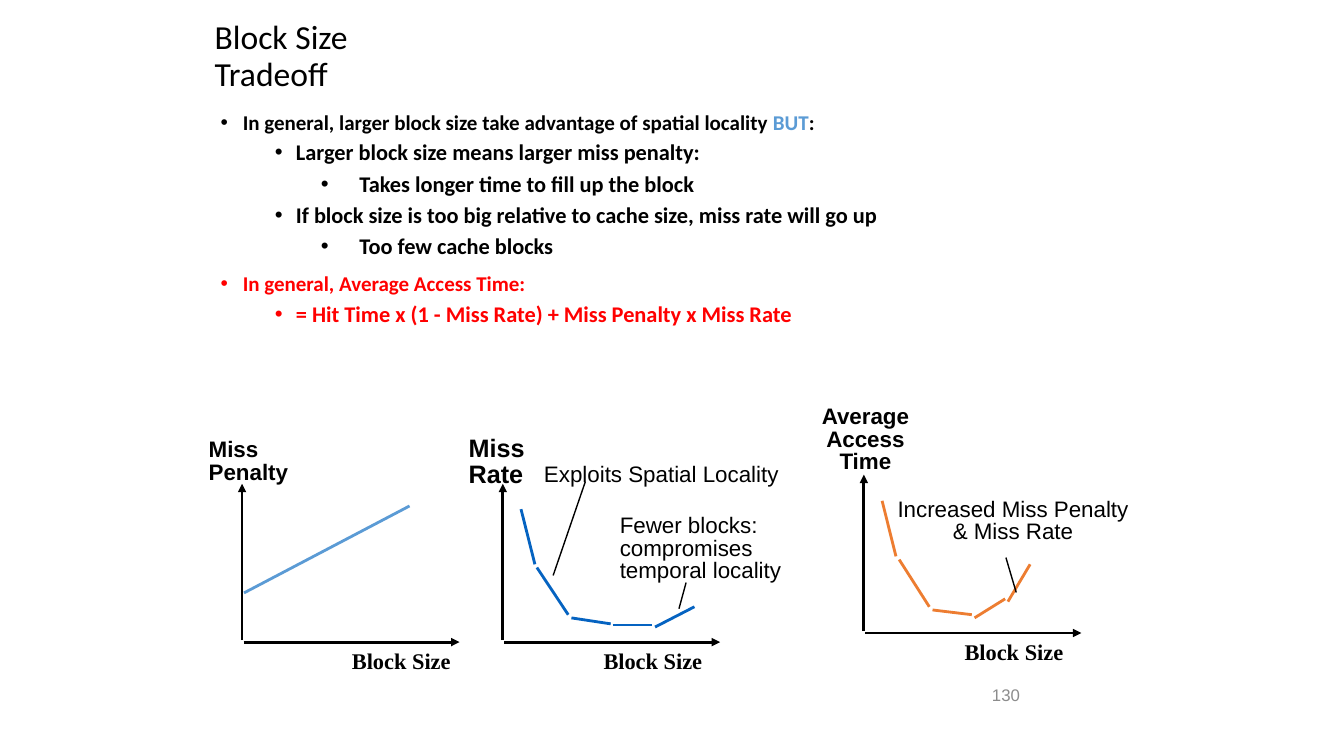
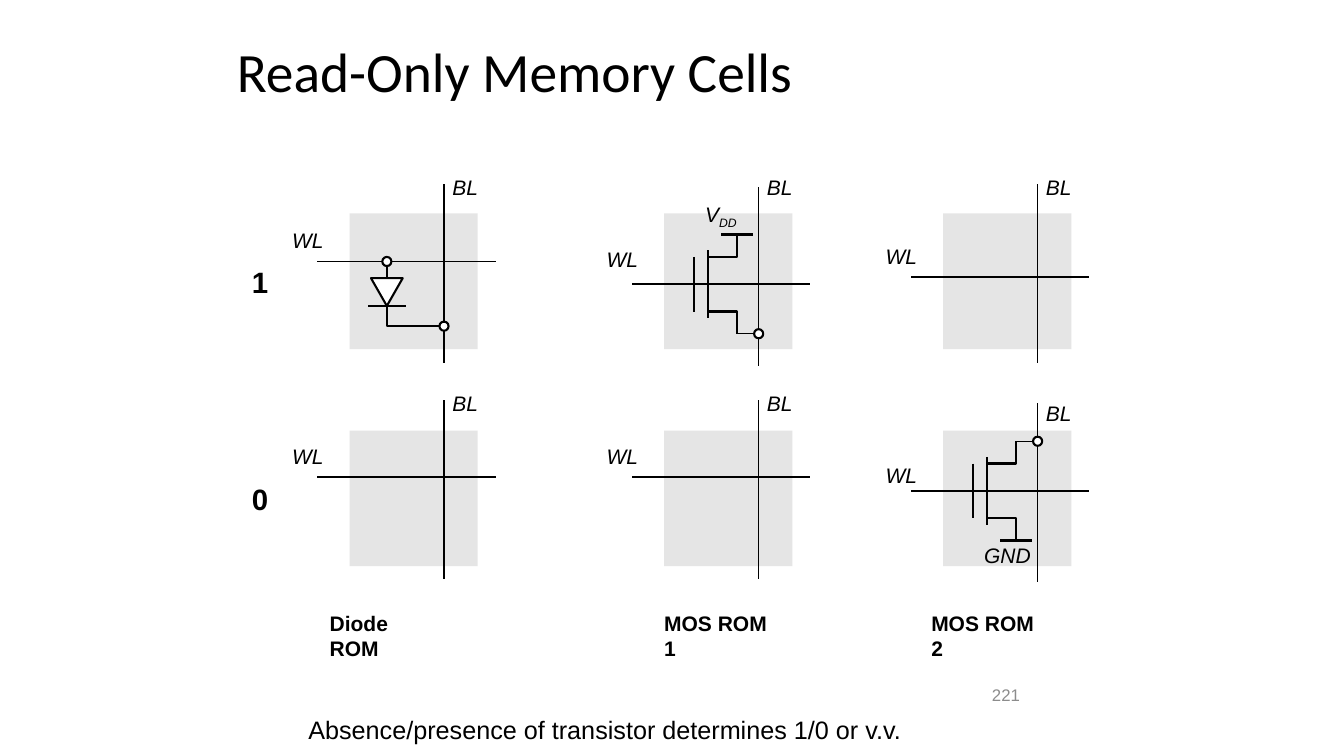
"""Builds two slides: the block size tradeoff and read-only memory cells."""
from lxml.etree import SubElement
from pptx import Presentation
from pptx.dml.color import RGBColor
from pptx.enum.shapes import MSO_CONNECTOR as Connector, MSO_SHAPE as Shape
from pptx.enum.text import MSO_ANCHOR as Anchor, PP_ALIGN as Align
from pptx.oxml.ns import qn
from pptx.util import Cm, Pt

COLORS = {"ink": "000000", "paper": "FFFFFF", "cell": "E5E5E5", "number": "8C8C8C",
          "alert": "FF0000", "penalty": "5B9BD5", "rate": "0563C1", "time": "ED7D31"}

LEVELS = [
    {"margin": 0.56, "hang": 0.56, "size": 15, "before": 10},
    {"margin": 1.9, "hang": 0.53, "size": 16, "before": 5},
    {"margin": 3.5, "hang": 0.97, "size": 16, "before": 5},
]
BULLETS = [
    (0, "ink", [("In general, larger block size take advantage of spatial locality ", {}),
                ("BUT", {"color": "penalty"}), (":", {})]),
    (1, "ink", "Larger block size means larger miss penalty:"),
    (2, "ink", "Takes longer time to fill up the block"),
    (1, "ink", "If block size is too big relative to cache size, miss rate will go up"),
    (2, "ink", "Too few cache blocks"),
    (0, "alert", "In general, Average Access Time:"),
    (1, "alert", "= Hit Time x (1 - Miss Rate) + Miss Penalty x Miss Rate"),
]

PLOTS = [
    {"origin": (6.1, 16.18), "color": "penalty", "axis_name": 2.77,
     "name": (["Miss", "Penalty"], -0.84, 5.11, 16, Align.LEFT),
     "curve": [(0.05, 1.24, 4.22, 3.43)], "notes": [], "pointers": []},
    {"origin": (12.67, 16.18), "color": "rate", "axis_name": 2.54,
     "name": (["Miss", "Rate"], -0.86, 5.16, 18, Align.LEFT),
     "curve": [(0.46, 3.35, 0.81, 1.96), (0.86, 1.88, 1.65, 0.69), (1.73, 0.61, 2.72, 0.46),
               (2.77, 0.43, 3.76, 0.43), (3.84, 0.38, 4.83, 0.89)],
     "notes": [(["Exploits Spatial Locality"], 1.04, 4.47, Align.LEFT),
               (["Fewer blocks:", "compromises", "temporal locality"], 2.95, 3.2, Align.LEFT)],
     "pointers": [(1.27, 1.68, 2.08, 4.04), (4.44, 0.84, 4.62, 1.5)]},
    {"origin": (21.77, 15.95), "color": "time", "axis_name": 2.54,
     "name": (["Average", "Access", "Time"], -1.96, 5.72, 16, Align.CENTER),
     "curve": [(0.46, 3.33, 0.81, 1.93), (0.89, 1.85, 1.65, 0.66), (1.73, 0.58, 2.72, 0.46),
               (2.79, 0.38, 3.56, 0.86), (3.63, 0.79, 4.19, 1.73)],
     "notes": [(["Increased Miss Penalty", "& Miss Rate"], 0.56, 3.38, Align.CENTER)],
     "pointers": [(3.84, 1.02, 3.58, 1.9)]},
]

COLUMNS = [("Diode ROM", 8.81, 8.31), ("MOS ROM 1", 16.74, 16.74), ("MOS ROM 2", 23.77, 23.47)]
ROWS = [("1", 5.38), ("0", 10.85)]
CELL_WIDTH, CELL_HEIGHT, BIT_X = 3.23, 3.42, 2.38
CELLS = [
    [{"wire": 1.21, "wl": 0.36, "bit": -0.74, "bl": -0.99},
     {"wire": 1.78, "wl": 0.84, "bit": -0.66, "bl": -0.99},
     {"wire": 1.6, "wl": 0.76, "bit": -0.74, "bl": -0.99}],
    [{"wire": 1.17, "wl": 0.33, "bit": -0.76, "bl": -1.02},
     {"wire": 1.17, "wl": 0.33, "bit": -0.76, "bl": -1.02},
     {"wire": 1.52, "wl": 0.81, "bit": -0.69, "bl": -0.76}],
]
SUPPLY = [("V", {}), ("DD", {"baseline": "-25000"})]


def color(name):
    return RGBColor.from_string(COLORS[name])


def write(page, lines, left, top, width, height=1, size=15, font="Arial", ink="ink", bold=None,
          italic=None, align=Align.LEFT, anchor=Anchor.TOP, spacing=None):
    box = page.shapes.add_textbox(Cm(left), Cm(top), Cm(width), Cm(height))
    frame = box.text_frame
    frame.word_wrap = True
    frame.vertical_anchor = anchor
    frame.margin_left = frame.margin_right = frame.margin_top = frame.margin_bottom = 0
    for index, line in enumerate(lines):
        para = frame.paragraphs[0] if index == 0 else frame.add_paragraph()
        style_paragraph(para, line, size, font, ink, bold, italic, align, spacing)
    return frame


def style_paragraph(para, line, size, font, ink, bold=None, italic=None, align=Align.LEFT,
                    spacing=None):
    for text, changes in [(line, {})] if isinstance(line, str) else line:
        span = para.add_run()
        span.text = text
        if "color" in changes:
            span.font.color.rgb = color(changes["color"])
        if "baseline" in changes:
            span._r.get_or_add_rPr().set("baseline", changes["baseline"])
    para.alignment = align
    if spacing:
        para.line_spacing = spacing
    para.font.size, para.font.name = Pt(size), font
    para.font.bold, para.font.italic = bold, italic
    para.font.color.rgb = color(ink)


def draw_line(page, x1, y1, x2, y2, weight=1, ink="ink", arrow=False):
    line = page.shapes.add_connector(Connector.STRAIGHT, Cm(x1), Cm(y1), Cm(x2), Cm(y2))
    line.line.width = Pt(weight)
    line.line.color.rgb = color(ink)
    if arrow:
        SubElement(line.line._get_or_add_ln(), qn("a:tailEnd"), type="triangle")
    SubElement(line._element.spPr, qn("a:effectLst"))


def paint(shape, fill=None, weight=None):
    shape.shadow.inherit = False
    if fill:
        shape.fill.solid()
        shape.fill.fore_color.rgb = color(fill)
    else:
        shape.fill.background()
    if weight:
        shape.line.width = Pt(weight)
        shape.line.color.rgb = color("ink")
    else:
        shape.line.fill.background()


def draw_outline(page, points, weight, fill=None):
    start, *others = [(Cm(x), Cm(y)) for x, y in points]
    builder = page.shapes.build_freeform(*start)
    builder.add_line_segments(others, close=fill is not None)
    paint(builder.convert_to_shape(), fill, weight)


def draw_node(page, x, y, size=0.23):
    node = page.shapes.add_shape(Shape.OVAL, Cm(x - size / 2), Cm(y - size / 2), Cm(size), Cm(size))
    paint(node, "paper", 1.5)


def start_page(deck, title, number, left, top, width, height, size):
    page = deck.slides.add_slide(deck.slide_layouts[6])
    write(page, [title], left, top, width, height, size, "Calibri", anchor=Anchor.MIDDLE,
          spacing=0.9)
    write(page, [number], 25, 16.92, 1.5, 1.19, 12, ink="number", anchor=Anchor.MIDDLE)
    return page


def add_bullets(page):
    frame = write(page, [], 5.56, 2.82, 22.4, 5.5)
    for index, (level, ink, text) in enumerate(BULLETS):
        look = LEVELS[level]
        para = frame.paragraphs[0] if index == 0 else frame.add_paragraph()
        para.level = level
        props = para._p.get_or_add_pPr()
        props.set("marL", str(Cm(look["margin"])))
        props.set("indent", str(-Cm(look["hang"])))
        SubElement(props, qn("a:buFont"), typeface="Arial")
        SubElement(props, qn("a:buChar"), char="•")
        para.space_before = Pt(look["before"] if index else 0)
        style_paragraph(para, text, look["size"], "Calibri", ink, bold=True, spacing=0.9)


def add_plot(page, plot):
    x, y = plot["origin"]

    def stroke(ends, *style):
        x1, up1, x2, up2 = ends
        draw_line(page, x + x1, y - up1, x + x2, y - up2, *style)

    stroke((0, 0.05, 0, 3.99), 2, "ink", True)
    stroke((0.04, 0, 5.48, 0), 2, "ink", True)
    for ends in plot["curve"]:
        stroke(ends, 2, plot["color"])
    for ends in plot["pointers"]:
        stroke(ends)
    lines, dx, up, size, align = plot["name"]
    write(page, lines, x + dx, y - up, 4, size=size, bold=True, align=align, spacing=0.85)
    for lines, dx, up, align in plot["notes"]:
        write(page, lines, x + dx, y - up, 6.4, size=16, align=align, spacing=0.85)
    write(page, ["Block Size"], x + plot["axis_name"], y + 0.13, 3, size=16,
          font="Times New Roman", bold=True)


def add_cell(page, x, y, cell):
    square = page.shapes.add_shape(Shape.RECTANGLE, Cm(x), Cm(y), Cm(CELL_WIDTH), Cm(CELL_HEIGHT))
    paint(square, "cell")
    bit_x, bit_top, wire_y = x + BIT_X, y + cell["bit"], y + cell["wire"]
    draw_line(page, bit_x, bit_top, bit_x, bit_top + 4.5)
    draw_line(page, x - 0.81, wire_y, x + 3.68, wire_y)
    write(page, ["WL"], x - 1.45, y + cell["wl"], 1, 0.64, italic=True)
    write(page, ["BL"], x + 2.59, y + cell["bl"], 1, 0.64, italic=True)


def add_diode(page, x, y):
    middle, top, bottom, bar = x + 0.94, y + 1.21, y + 2.84, y + 2.33
    draw_outline(page, [(middle, top), (middle, bottom), (x + BIT_X, bottom)], 1)
    draw_line(page, middle - 0.47, bar, middle + 0.47, bar, 1.5)
    draw_outline(page, [(middle - 0.4, y + 1.63), (middle, bar), (middle + 0.4, y + 1.63)],
                 1.5, "paper")
    draw_node(page, middle, top)
    draw_node(page, x + BIT_X, bottom)


def add_transistor(page, x, wire_y, bit_side, label, label_y):
    gate, channel, contact = x + 0.74, x + 1.11, x + 1.84
    draw_line(page, x, wire_y, gate, wire_y, 1.5)
    for bar, reach in [(gate, 0.69), (channel, 0.86)]:
        draw_line(page, bar, wire_y - reach, bar, wire_y + reach, 1.5)
    for side in (-1, 1):
        near, far = wire_y + side * 0.69, wire_y + side * 1.25
        draw_outline(page, [(channel, near), (contact, near), (contact, far)], 1.5)
    rail_y, bit_y = wire_y - bit_side * 1.25, wire_y + bit_side * 1.25
    draw_line(page, contact - 0.4, rail_y, contact + 0.4, rail_y, 1.5)
    draw_line(page, contact, bit_y, x + BIT_X, bit_y)
    draw_node(page, x + BIT_X, bit_y)
    write(page, [label], x + 1.03, label_y, 1.4, 0.64, italic=True)


def main():
    deck = Presentation()
    deck.slide_width, deck.slide_height = Cm(33.87), Cm(19.05)

    page = start_page(deck, "Block Size Tradeoff", "130", 5.41, 0.5, 5, 1.88, 24)
    add_bullets(page)
    for plot in PLOTS:
        add_plot(page, plot)

    page = start_page(deck, "Read-Only Memory Cells", "221", 5.97, 1.32, 21.9, 1.12, 39.6)
    for (digit, y), cells in zip(ROWS, CELLS):
        write(page, [digit], 6.35, y + 1.28, 1, size=21, bold=True)
        for (name, x, name_x), cell in zip(COLUMNS, cells):
            add_cell(page, x, y, cell)
    for name, x, name_x in COLUMNS:
        write(page, [name], name_x, 15.39, 2.7, 1.3, bold=True)
    (diode_x, supply_x, ground_x), (one_y, zero_y) = [c[1] for c in COLUMNS], [r[1] for r in ROWS]
    add_diode(page, diode_x, one_y)
    add_transistor(page, supply_x, one_y + CELLS[0][1]["wire"], 1, SUPPLY, one_y - 0.3)
    add_transistor(page, ground_x, zero_y + CELLS[1][2]["wire"], -1, "GND", zero_y + 2.82)
    write(page, ["Absence/presence of transistor determines 1/0 or v.v."], 7.77, 18.01, 16, 0.8,
          size=18)
    deck.save("out.pptx")


if __name__ == "__main__":
    main()
